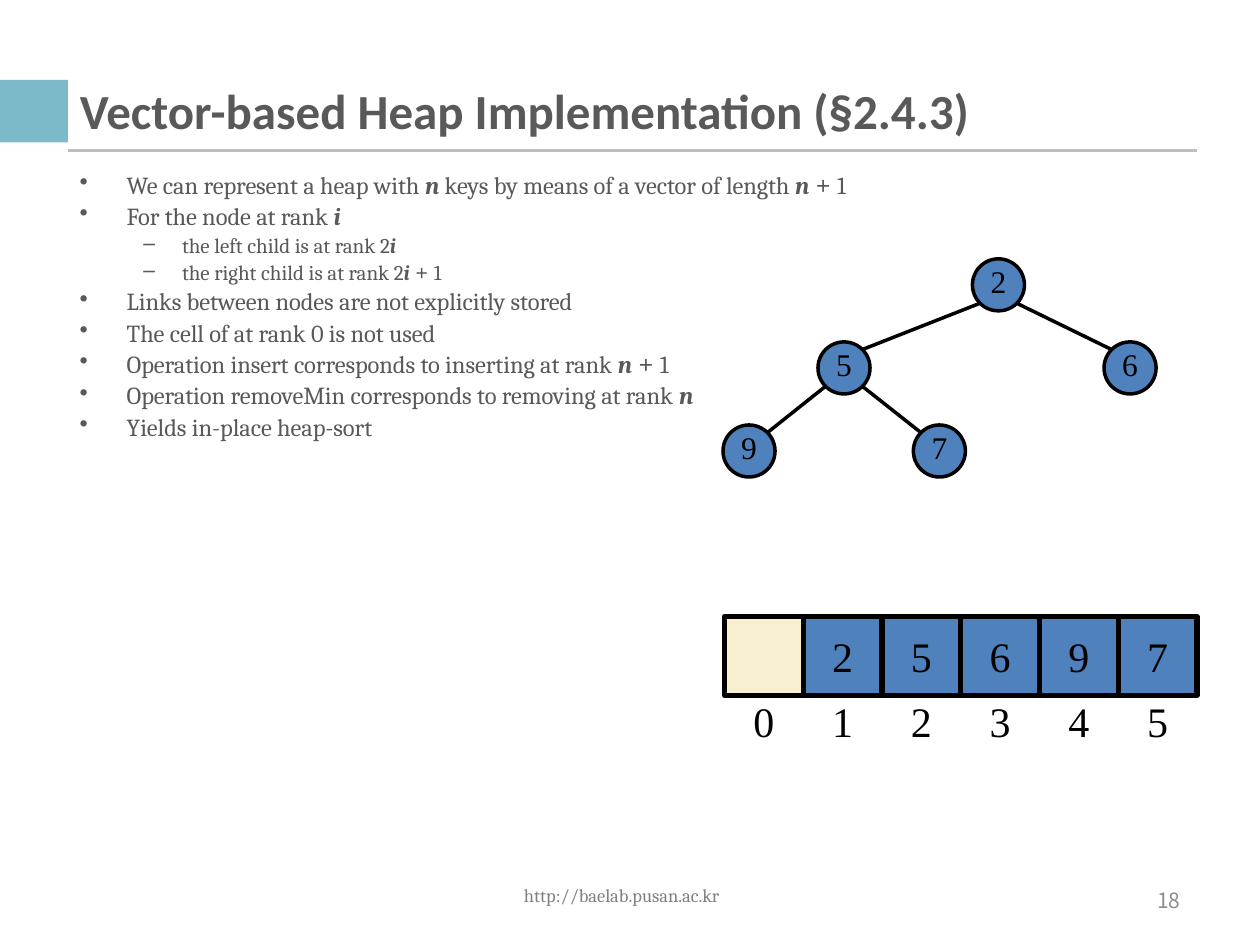
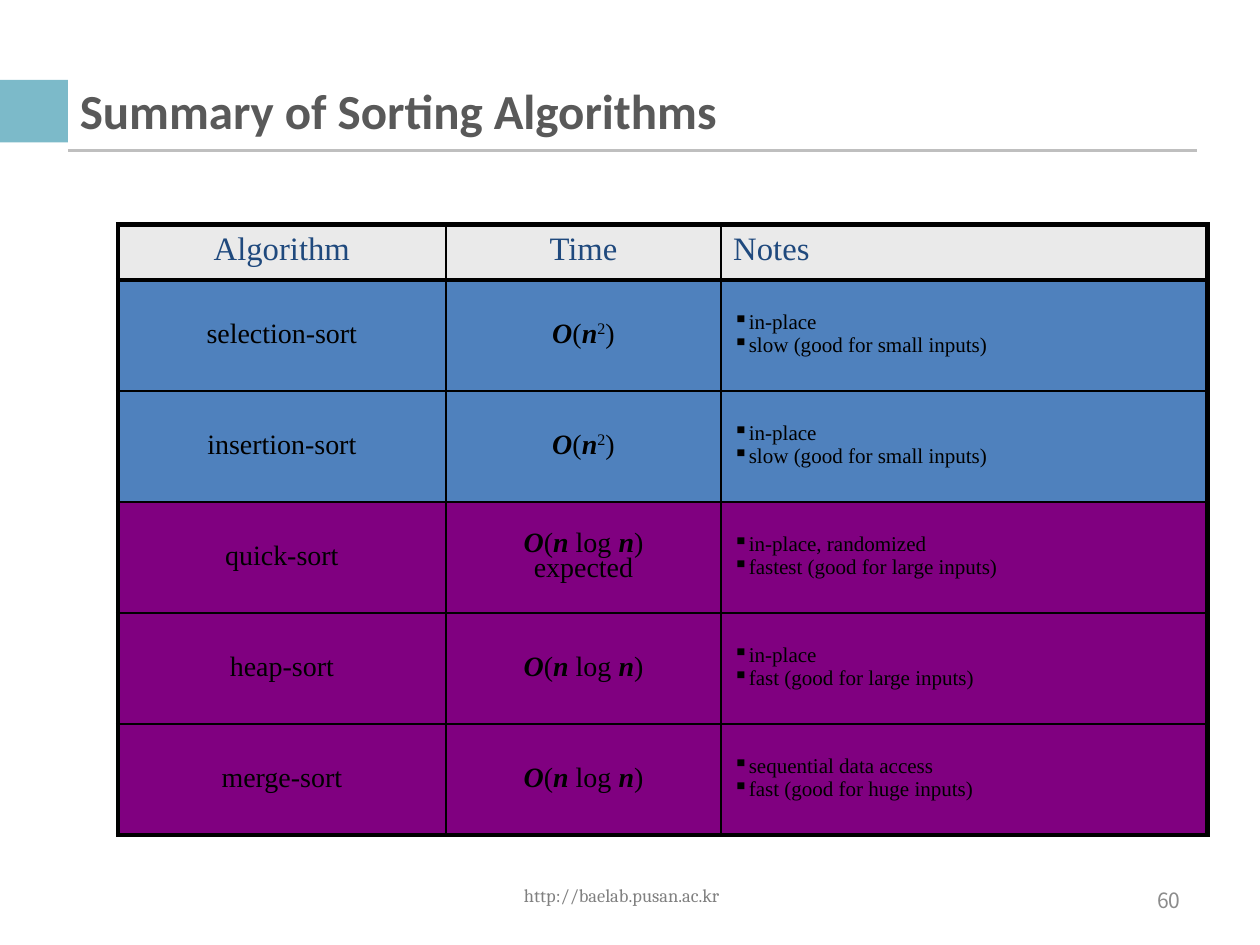
from copy import deepcopy
from dataclasses import dataclass
from math import sqrt

from lxml import etree
from pptx import Presentation
from pptx.dml.color import RGBColor
from pptx.enum.shapes import MSO_CONNECTOR, MSO_SHAPE
from pptx.enum.text import MSO_ANCHOR, MSO_AUTO_SIZE, PP_ALIGN
from pptx.oxml.ns import qn
from pptx.util import Pt

LEFT, CENTER, RIGHT = PP_ALIGN.LEFT, PP_ALIGN.CENTER, PP_ALIGN.RIGHT
TOP, MIDDLE = MSO_ANCHOR.TOP, MSO_ANCHOR.MIDDLE
RECTANGLE, OVAL = MSO_SHAPE.RECTANGLE, MSO_SHAPE.OVAL
STRAIGHT = MSO_CONNECTOR.STRAIGHT


@dataclass(frozen=True)
class Theme:
    text: str = "595959"
    footer: str = "808080"
    page: str = "8C8C8C"
    band: str = "7CBAC9"
    rule: str = "BFBFBF"
    ink: str = "000000"
    blue: str = "4F81BD"
    purple: str = "800080"
    cream: str = "F8F0D0"
    header_fill: str = "EAEAEA"
    header_text: str = "1F497D"
    title_font: str = "Calibri"
    body_font: str = "Cambria"
    figure_font: str = "Times New Roman"
    page_font: str = "Noto Sans CJK KR"
    symbol_font: str = "Arial"
    title_size: float = 21
    body_size: float = 10.5
    small_size: float = 9
    footer_size: float = 7.9
    node_size: float = 13.5
    array_size: float = 18
    header_size: float = 14
    cell_size: float = 12
    thin: float = 1
    medium: float = 1.5
    thick: float = 2.25


THEME = Theme()


def write(frame, pieces, *, size, font, color, bold=False, align=LEFT, anchor=MIDDLE,
          margins=(7.2, 3.6, 7.2, 3.6), wrap=True, line_spacing=None, space_before=0,
          bullet=None, level=0, holder=None):
    """Add one paragraph; a piece is a string or (string, format changes).

    bullet is (character, left margin, hanging indent); holder is the cell
    that owns the margins and anchor when the frame belongs to a table.
    """
    holder = holder or frame
    holder.margin_left, holder.margin_top, holder.margin_right, holder.margin_bottom = map(Pt, margins)
    holder.vertical_anchor = anchor
    frame.word_wrap = wrap
    first = frame.paragraphs[0]
    paragraph = frame.add_paragraph() if first.runs else first
    paragraph.level = level
    if bullet:
        character, margin, hanging = bullet
        properties = paragraph._p.get_or_add_pPr()
        properties.set("marL", str(Pt(margin)))
        properties.set("indent", str(-Pt(hanging)))
        etree.SubElement(properties, qn("a:buChar")).set("char", character)
    paragraph.alignment = align
    if line_spacing:
        paragraph.line_spacing = line_spacing
    if paragraph is not first:
        paragraph.space_before = Pt(space_before)
    for piece in (pieces,) if isinstance(pieces, str) else pieces:
        text, changes = (piece, {}) if isinstance(piece, str) else piece
        if text == "\n":
            paragraph.add_line_break()
            paragraph._p[-1].append(deepcopy(run._r.rPr))
            continue
        run = paragraph.add_run()
        run.text = text
        run.font.size = Pt(size)
        run.font.name = changes.get("font", font)
        run.font.color.rgb = RGBColor.from_string(color)
        run.font.bold = changes.get("bold", bold)
        run.font.italic = changes.get("italic", False)
        if "baseline" in changes:
            run._r.get_or_add_rPr().set("baseline", changes["baseline"])


def add_block(slide, kind, left, top, width, height, fill, line_width=0):
    shape = slide.shapes.add_shape(kind, Pt(left), Pt(top), Pt(width), Pt(height))
    shape.shadow.inherit = False
    shape.fill.solid()
    shape.fill.fore_color.rgb = RGBColor.from_string(fill)
    if line_width:
        shape.line.color.rgb = RGBColor.from_string(THEME.ink)
        shape.line.width = Pt(line_width)
    else:
        shape.line.fill.background()
    return shape


presentation = Presentation()
presentation.slide_width, presentation.slide_height = Pt(540), Pt(405)
title_only = presentation.slide_layouts[5]

# Frame shared by the slides
slides = []
lines = []
for title, page in (("Vector-based Heap Implementation (§2.4.3)", "18"),
                    ("Summary of Sorting Algorithms", "60")):
    slide = presentation.slides.add_slide(title_only)
    slides.append(slide)
    add_block(slide, RECTANGLE, 0, 34.2, 29.2, 26.8, THEME.band)
    lines.append((slide, (29.2, 64.5), (513, 64.5), THEME.rule, THEME.thin))
    heading = slide.shapes.title
    heading.left, heading.top, heading.width, heading.height = Pt(27), Pt(34.6), Pt(486), Pt(25.2)
    heading.text_frame.auto_size = MSO_AUTO_SIZE.NONE
    write(heading.text_frame, title, size=THEME.title_size, font=THEME.title_font,
          color=THEME.text, bold=True)
    footer = slide.shapes.add_textbox(Pt(180.7), Pt(373), Pt(171.4), Pt(21.6))
    write(footer.text_frame, "http://baelab.pusan.ac.kr", size=THEME.footer_size,
          font=THEME.body_font, color=THEME.footer, align=CENTER)
    number = slide.shapes.add_textbox(Pt(387), Pt(375.2), Pt(126), Pt(21.6))
    write(number.text_frame, page, size=THEME.small_size, font=THEME.page_font,
          color=THEME.page, align=RIGHT)
heap_slide, summary_slide = slides

# Heap: bullet list
TERM = {"bold": True, "italic": True}
N, I, BIG_O = ("n", TERM), ("i", TERM), ("O", TERM)
PLUS = (" + ", {"font": THEME.symbol_font})
LEVELS = ((THEME.body_size, ("•", 20.2, 20.2)), (THEME.small_size, ("–", 43.9, 16.6)))
points = (
    (0, ("We can represent a heap with ", N, " keys by means of a vector of length ", N, PLUS, "1")),
    (0, ("For the node at rank ", I)),
    (1, ("the left child is at rank 2", I)),
    (1, ("the right child is at rank 2", I, PLUS, "1")),
    (0, "Links between nodes are not explicitly stored"),
    (0, "The cell of at rank 0 is not used"),
    (0, ("Operation insert corresponds to inserting at rank ", N, PLUS, "1")),
    (0, ("Operation removeMin corresponds to removing at rank ", N)),
    (0, "Yields in-place heap-sort"),
)
body = heap_slide.shapes.add_textbox(Pt(27), Pt(70.6), Pt(486), Pt(291.6))
for level, pieces in points:
    size, bullet = LEVELS[level]
    write(body.text_frame, pieces, size=size, font=THEME.body_font, color=THEME.text, anchor=TOP,
          line_spacing=0.9, space_before=0.2 * size, bullet=bullet, level=level)

# Heap: tree, in rank order; the parent of rank r is at rank r // 2
heap = ("2", "5", "6", "9", "7")
NODE, LEVEL_GAP = 22.3, 35.6
centers = {}
for rank, (key, x) in enumerate(zip(heap, (427.9, 361.7, 484.3, 321, 402.6)), start=1):
    y = 122.1 + LEVEL_GAP * (rank.bit_length() - 1)
    centers[rank] = x, y
    node = add_block(heap_slide, OVAL, x - NODE / 2, y - NODE / 2, NODE, NODE, THEME.blue, THEME.medium)
    write(node.text_frame, key, size=THEME.node_size, font=THEME.figure_font, color=THEME.ink,
          align=CENTER, margins=(0, 0, 0, 3.6), wrap=False)
    if rank > 1:
        parent_x, parent_y = centers[rank // 2]
        reach = NODE / 2 / sqrt(2)
        side = reach if x > parent_x else -reach
        lines.append((heap_slide, (parent_x + side, parent_y + reach), (x - side, y - reach),
                      THEME.ink, THEME.medium))

# Heap: vector with its ranks
CELL = 33.75
for rank, key in enumerate(("",) + heap):
    left = 310.5 + CELL * rank
    cell = add_block(heap_slide, RECTANGLE, left, 264.2, CELL, CELL,
                     THEME.blue if key else THEME.cream, THEME.thick)
    label = heap_slide.shapes.add_textbox(Pt(left), Pt(298), Pt(CELL), Pt(21.6))
    for shape, text, anchor in ((cell, key, MIDDLE), (label, str(rank), TOP)):
        if text:
            write(shape.text_frame, text, size=THEME.array_size, font=THEME.figure_font,
                  color=THEME.ink, align=CENTER, anchor=anchor, margins=(0, 0, 0, 0), wrap=False)

for slide, start, end, color, width in lines:
    connector = slide.shapes.add_connector(STRAIGHT, *map(Pt, start + end))
    connector.line.color.rgb = RGBColor.from_string(color)
    connector.line.width = Pt(width)
    etree.SubElement(connector._element.spPr, qn("a:effectLst"))

# Summary: table
SQUARED = (BIG_O, "(", N, ("2", {"baseline": "30000"}), ")")
N_LOG_N = (BIG_O, "(", N, " log ", N, ")")
rows = (
    (THEME.header_fill, "Algorithm", "Time", ("Notes",)),
    (THEME.blue, "selection-sort", SQUARED, ("in-place", "slow (good for small inputs)")),
    (THEME.blue, "insertion-sort", SQUARED, ("in-place", "slow (good for small inputs)")),
    (THEME.purple, "quick-sort", N_LOG_N + ("\n", "expected"),
     ("in-place, randomized", "fastest (good for large inputs)")),
    (THEME.purple, "heap-sort", N_LOG_N, ("in-place", "fast (good for large inputs)")),
    (THEME.purple, "merge-sort", N_LOG_N, ("sequential data access", "fast (good for huge inputs)")),
)
widths = (140.5, 118, 208.5)
HEADER_HEIGHT, ROW_HEIGHT = 23.8, 47.6
last_row, last_column = len(rows) - 1, len(widths) - 1
table = summary_slide.shapes.add_table(
    len(rows), len(widths), Pt(50.6), Pt(96.2), Pt(sum(widths)),
    Pt(HEADER_HEIGHT + ROW_HEIGHT * last_row)).table
table.first_row = table.horz_banding = False
for column, width in zip(table.columns, widths):
    column.width = Pt(width)

for row_index, (fill, algorithm, time, notes) in enumerate(rows):
    header = row_index == 0
    table.rows[row_index].height = Pt(HEADER_HEIGHT if header else ROW_HEIGHT)
    for column_index, paragraphs in enumerate(((algorithm,), (time,), notes)):
        cell = table.cell(row_index, column_index)
        is_notes = column_index == last_column
        size = THEME.header_size if header else THEME.small_size if is_notes else THEME.cell_size
        for pieces in paragraphs:
            write(cell.text_frame, pieces, holder=cell, size=size, font=THEME.figure_font,
                  color=THEME.header_text if header else THEME.ink,
                  align=LEFT if is_notes else CENTER, margins=(5.2, 2.7, 5.2, 2.7),
                  line_spacing=0.8, space_before=0.2 * size,
                  bullet=("▪", 5.5, 5.5) if is_notes and not header else None)
        thick_edges = {"lnL": column_index == 0, "lnR": is_notes,
                       "lnT": row_index < 2, "lnB": row_index in (0, last_row)}
        for edge, is_thick in thick_edges.items():
            border = etree.SubElement(cell._tc.get_or_add_tcPr(), qn("a:" + edge))
            border.set("w", str(Pt(THEME.thick if is_thick else THEME.thin)))
            solid = etree.SubElement(border, qn("a:solidFill"))
            etree.SubElement(solid, qn("a:srgbClr")).set("val", THEME.ink)
        cell.fill.solid()
        cell.fill.fore_color.rgb = RGBColor.from_string(fill)

presentation.save("out.pptx")
